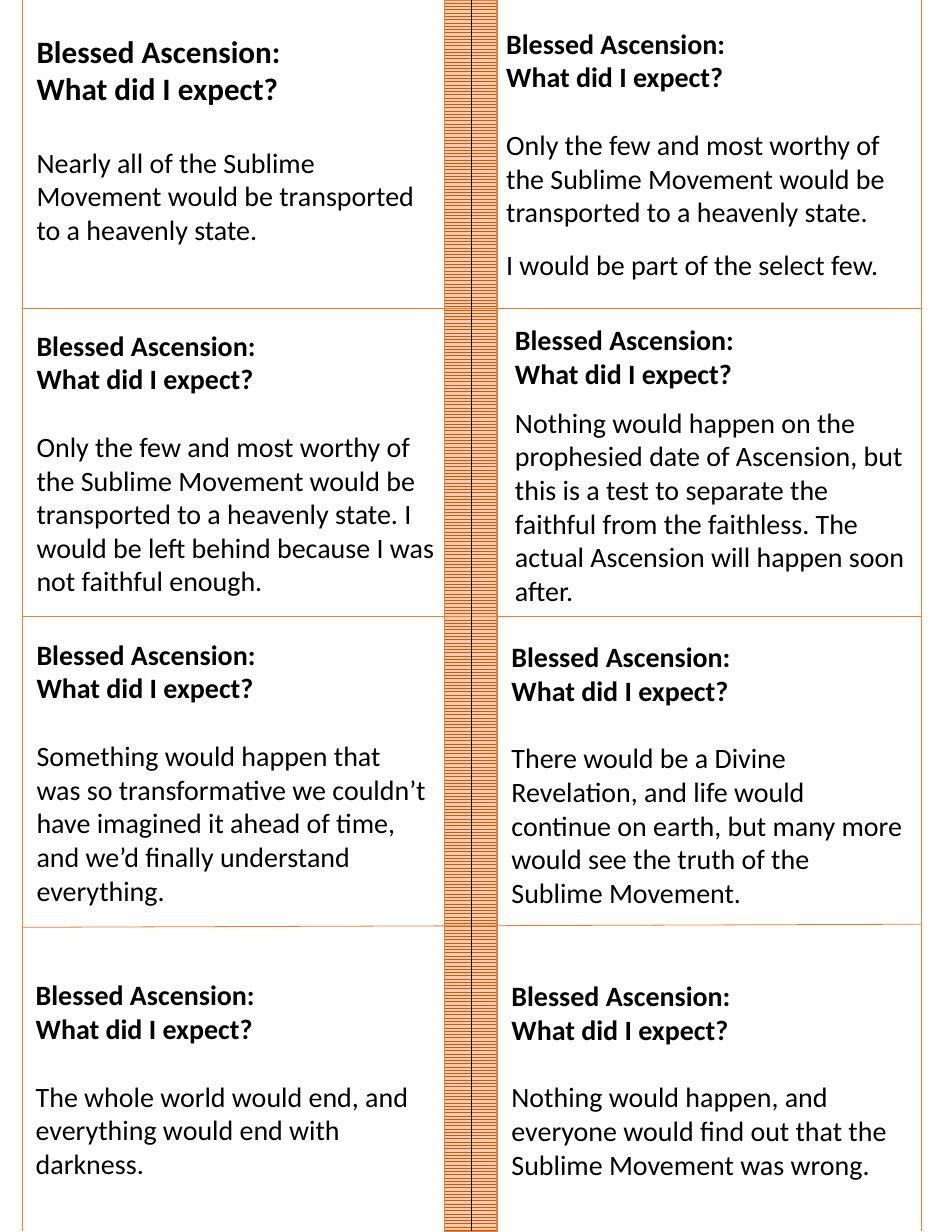
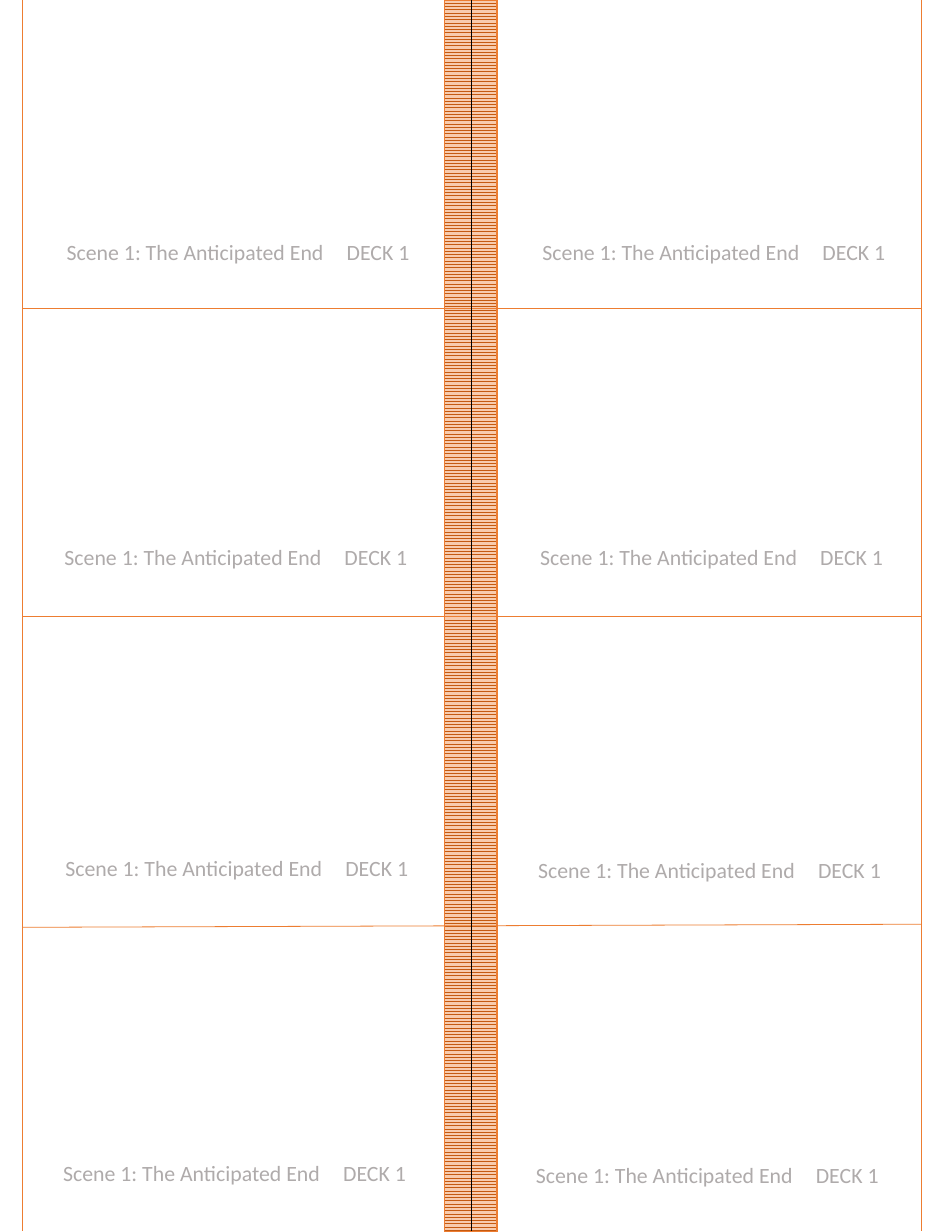
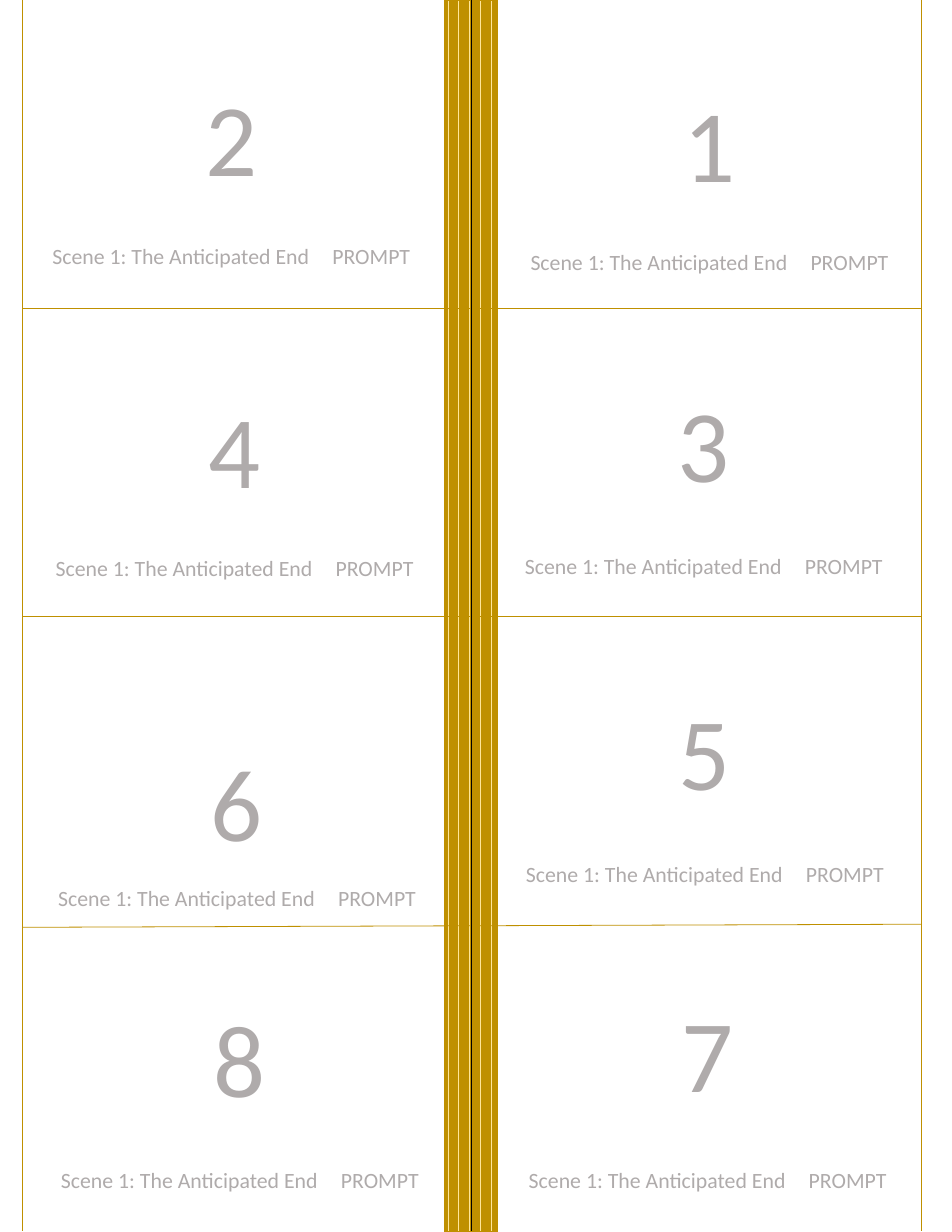
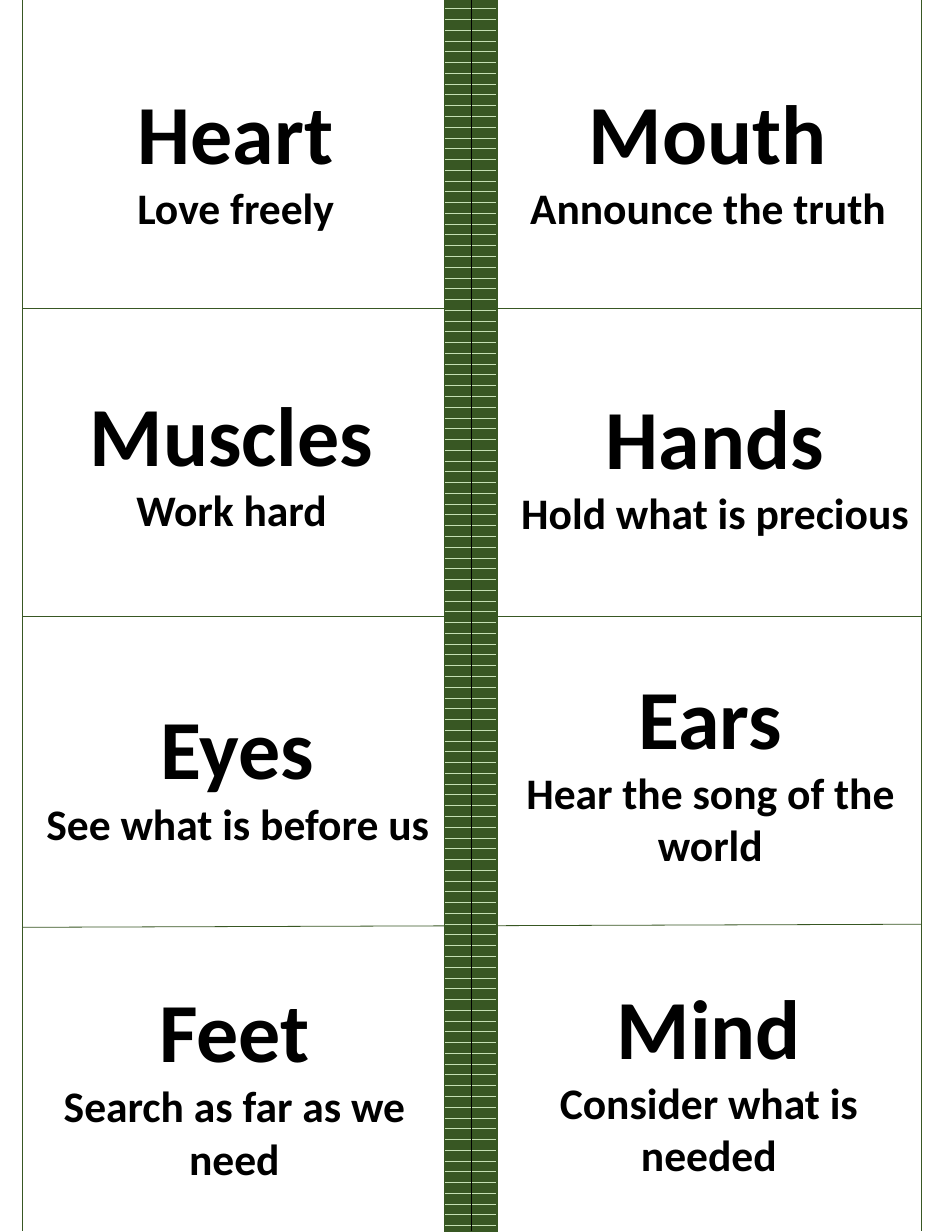
"""Build four sheets of cue cards, eight cards to a sheet."""
from dataclasses import dataclass

from pptx import Presentation
from pptx.dml.color import RGBColor
from pptx.enum.dml import MSO_PATTERN_TYPE as Pattern
from pptx.enum.shapes import MSO_CONNECTOR as Connector, MSO_SHAPE as Shape
from pptx.enum.text import MSO_ANCHOR as Anchor, PP_ALIGN as Align
from pptx.oxml.ns import qn
from pptx.oxml.xmlchemy import OxmlElement
from pptx.slide import Slide
from pptx.text.text import TextFrame
from pptx.util import Cm, Pt

FONT = "Calibri"
BLACK = RGBColor(0x00, 0x00, 0x00)
GREY = RGBColor(0xAF, 0xAB, 0xAB)
ORANGE = RGBColor(0xED, 0x7D, 0x31)
RUST = RGBColor(0xC5, 0x5A, 0x11)
PEACH = RGBColor(0xF8, 0xCB, 0xAD)
GOLD = RGBColor(0xBF, 0x90, 0x00)
CREAM = RGBColor(0xFF, 0xE6, 0x99)
GREEN = RGBColor(0x38, 0x57, 0x23)
MINT = RGBColor(0xC5, 0xE0, 0xB4)

PAGE_WIDTH, PAGE_HEIGHT = 21.59, 27.94
LEFT_EDGE, CENTRE, RIGHT_EDGE, RULE_END = 0.51, 10.69, 20.9, 27.91
ROW_RULES = [(6.99, 6.99), (13.97, 13.97), (21.03, 20.96)]
BAND_LEFT, BAND_WIDTH = 10.08, 1.19
BOTTOM_INSET = 0.13
LINE_HEIGHT = 1.22
SCENE = "Scene 1: The Anticipated End"
QUESTION = ["Blessed Ascension:", "What did I expect?"]


@dataclass(frozen=True)
class Theme:
    """Colours and pattern of a sheet's centre band and rules."""
    line: RGBColor
    pattern: Pattern
    front: RGBColor
    back: RGBColor


@dataclass(frozen=True)
class Box:
    """Place of a card's text in centimetres."""
    left: float
    top: float
    width: float = 9.32
    height: float = 6.63


@dataclass(frozen=True)
class Answer:
    """A card with a question and its answer."""
    box: Box
    texts: list[str]
    heading_size: int = 18
    gap: int = 18
    second_gap: int = 0
    space_below: int = 0


@dataclass(frozen=True)
class Prompt:
    """The back of a numbered prompt card."""
    box: Box
    number: int
    gap: int = 26
    space_below: int = 12


@dataclass(frozen=True)
class Gift:
    """A card with a part of the body and its task."""
    box: Box
    name: str
    task: str


ZIGZAG = Theme(ORANGE, Pattern.ZIG_ZAG, RUST, PEACH)
VERTICAL = Theme(GOLD, Pattern.DARK_VERTICAL, GOLD, CREAM)
HORIZONTAL = Theme(GREEN, Pattern.DARK_HORIZONTAL, GREEN, MINT)

ANSWERS = [
    Answer(Box(0.58, 0.18, 9.55, 6.73),
           ["Nearly all of the Sublime Movement would be transported to a heavenly state."],
           heading_size=20, gap=20, space_below=18),
    Answer(Box(11.23, 0.03, 9.75, 6.91),
           ["Only the few and most worthy of the Sublime Movement would be transported "
            "to a heavenly state.",
            "I would be part of the select few."], second_gap=10),
    Answer(Box(0.58, 7.06, 9.58, 6.88),
           ["Only the few and most worthy of the Sublime Movement would be transported "
            "to a heavenly state. I would be left behind because I was not faithful enough."]),
    Answer(Box(11.43, 7.14, 9.55, 6.81),
           ["Nothing would happen on the prophesied date of Ascension, but this is a test "
            "to separate the faithful from the faithless. The actual Ascension will happen "
            "soon after."], gap=8),
    Answer(Box(0.58, 14.12, 9.42, 6.78),
           ["Something would happen that was so transformative we couldn’t have imagined it "
            "ahead of time, and we’d finally understand everything."]),
    Answer(Box(11.35, 14.12, 9.37, 6.88),
           ["There would be a Divine Revelation, and life would continue on earth, but many "
            "more would see the truth of the Sublime Movement."]),
    Answer(Box(0.56, 21.16, 9.45, 6.63),
           ["The whole world would end, and everything would end with darkness."]),
    Answer(Box(11.35, 21.16, 9.42, 6.65),
           ["Nothing would happen, and everyone would find out that the Sublime Movement "
            "was wrong."]),
]

DECK_BACKS = [
    Box(left, top, height=6.73)
    for left, top in [(0.74, 0.18), (11.53, 0.18), (0.69, 7.11), (11.48, 7.09),
                      (0.71, 14.15), (11.43, 14.2), (0.66, 21.08), (11.38, 21.11)]
]

PROMPTS = [
    Prompt(Box(0.51, 0.28, 9.47), 2, gap=24, space_below=16),
    Prompt(Box(11.3, 0.25, 9.58), 1, gap=24),
    Prompt(Box(0.66, 7.19), 4, gap=24),
    Prompt(Box(11.3, 7.14), 3),
    Prompt(Box(0.64, 14.15, 9.47), 6, gap=12, space_below=0),
    Prompt(Box(11.25, 14.12, 9.47), 5),
    Prompt(Box(0.64, 21.08, 9.6), 8),
    Prompt(Box(11.25, 21.06, 9.6), 7, gap=28),
]

GIFTS = [
    Gift(Box(0.76, 0.25, 9.17), "Heart", "Love freely"),
    Gift(Box(11.28, 0.25, 9.55), "Mouth", "Announce the truth"),
    Gift(Box(0.46, 7.09, 9.58), "Muscles", "Work hard"),
    Gift(Box(11.35, 7.16, 9.73), "Hands", "Hold what is precious"),
    Gift(Box(0.69, 14.2, 9.4), "Eyes", "See what is before us"),
    Gift(Box(11.4, 14.1, 9.42), "Ears", "Hear the song of the world"),
    Gift(Box(0.69, 21.21, 9.25), "Feet", "Search as far as we need"),
    Gift(Box(11.4, 21.13, 9.35), "Mind", "Consider what is needed"),
]


def add_rule(slide: Slide, start: tuple[float, float], end: tuple[float, float],
             color: RGBColor) -> None:
    """Draw a thin straight line without shadow."""
    rule = slide.shapes.add_connector(Connector.STRAIGHT, *map(Cm, start + end))
    rule.line.color.rgb = color
    rule.line.width = Pt(0.5)
    rule._element.find(qn("p:spPr")).append(OxmlElement("a:effectLst"))


def add_sheet(presentation: Presentation, theme: Theme) -> Slide:
    """Add a slide with the centre band and the cutting rules."""
    slide = presentation.slides.add_slide(presentation.slide_layouts[6])
    band = slide.shapes.add_shape(Shape.RECTANGLE, Cm(BAND_LEFT), 0,
                                  Cm(BAND_WIDTH), Cm(PAGE_HEIGHT))
    band.shadow.inherit = False
    band.fill.patterned()
    band.fill.pattern = theme.pattern
    band.fill.fore_color.rgb = theme.front
    band.fill.back_color.rgb = theme.back
    band.line.color.rgb = theme.line
    band.line.width = Pt(1)
    for left_y, right_y in ROW_RULES:
        add_rule(slide, (LEFT_EDGE, left_y), (RIGHT_EDGE, right_y), theme.line)
    for x, color in [(LEFT_EDGE, theme.line), (RIGHT_EDGE, theme.line), (CENTRE, BLACK)]:
        add_rule(slide, (x, 0), (x, RULE_END), color)
    return slide


def add_card(slide: Slide, box: Box, anchor: Anchor, space_below: int = 0) -> TextFrame:
    """Add a card's text box, keeping a line of the given size free below."""
    shape = slide.shapes.add_textbox(Cm(box.left), Cm(box.top), Cm(box.width), Cm(box.height))
    frame = shape.text_frame
    frame.word_wrap = True
    frame.vertical_anchor = anchor
    frame.margin_bottom = Cm(BOTTOM_INSET) + Pt(space_below * LINE_HEIGHT)
    return frame


def add_text(frame: TextFrame, text: str, *, size: int, color: RGBColor = BLACK,
             bold: bool = False, align: Align = Align.CENTER, gap: int = 0) -> None:
    """Add a paragraph after a gap as high as a line of the given size."""
    paragraph = frame.paragraphs[0] if not frame.text else frame.add_paragraph()
    paragraph.alignment = align
    if gap:
        paragraph.space_before = Pt(round(gap * LINE_HEIGHT, 1))
    run = paragraph.add_run()
    run.text = text
    run.font.name = FONT
    run.font.size = Pt(size)
    run.font.bold = bold
    run.font.color.rgb = color


def add_answers(slide: Slide) -> None:
    """Fill a sheet with the answer cards."""
    for card in ANSWERS:
        frame = add_card(slide, card.box, Anchor.MIDDLE, card.space_below)
        for line in QUESTION:
            add_text(frame, line, size=card.heading_size, bold=True, align=Align.LEFT)
        for text, gap in zip(card.texts, (card.gap, card.second_gap)):
            add_text(frame, text, size=18, align=Align.LEFT, gap=gap)


def add_deck_backs(slide: Slide) -> None:
    """Fill a sheet with the backs of the first deck."""
    for box in DECK_BACKS:
        frame = add_card(slide, box, Anchor.BOTTOM, space_below=18)
        add_text(frame, f"{SCENE}\tDECK 1", size=14, color=GREY)


def add_prompts(slide: Slide) -> None:
    """Fill a sheet with the numbered prompt backs."""
    for card in PROMPTS:
        frame = add_card(slide, card.box, Anchor.BOTTOM, card.space_below)
        add_text(frame, str(card.number), size=66, color=GREY)
        add_text(frame, f"{SCENE}\tPROMPT", size=14, color=GREY, gap=card.gap)


def add_gifts(slide: Slide) -> None:
    """Fill a sheet with the body cards."""
    for card in GIFTS:
        frame = add_card(slide, card.box, Anchor.MIDDLE)
        add_text(frame, card.name, size=54, bold=True)
        add_text(frame, card.task, size=28, bold=True)


def main() -> None:
    """Build and save the sheets."""
    presentation = Presentation()
    presentation.slide_width = Cm(PAGE_WIDTH)
    presentation.slide_height = Cm(PAGE_HEIGHT)
    for theme, add_cards in [(ZIGZAG, add_answers), (ZIGZAG, add_deck_backs),
                             (VERTICAL, add_prompts), (HORIZONTAL, add_gifts)]:
        add_cards(add_sheet(presentation, theme))
    presentation.save("out.pptx")


if __name__ == "__main__":
    main()
